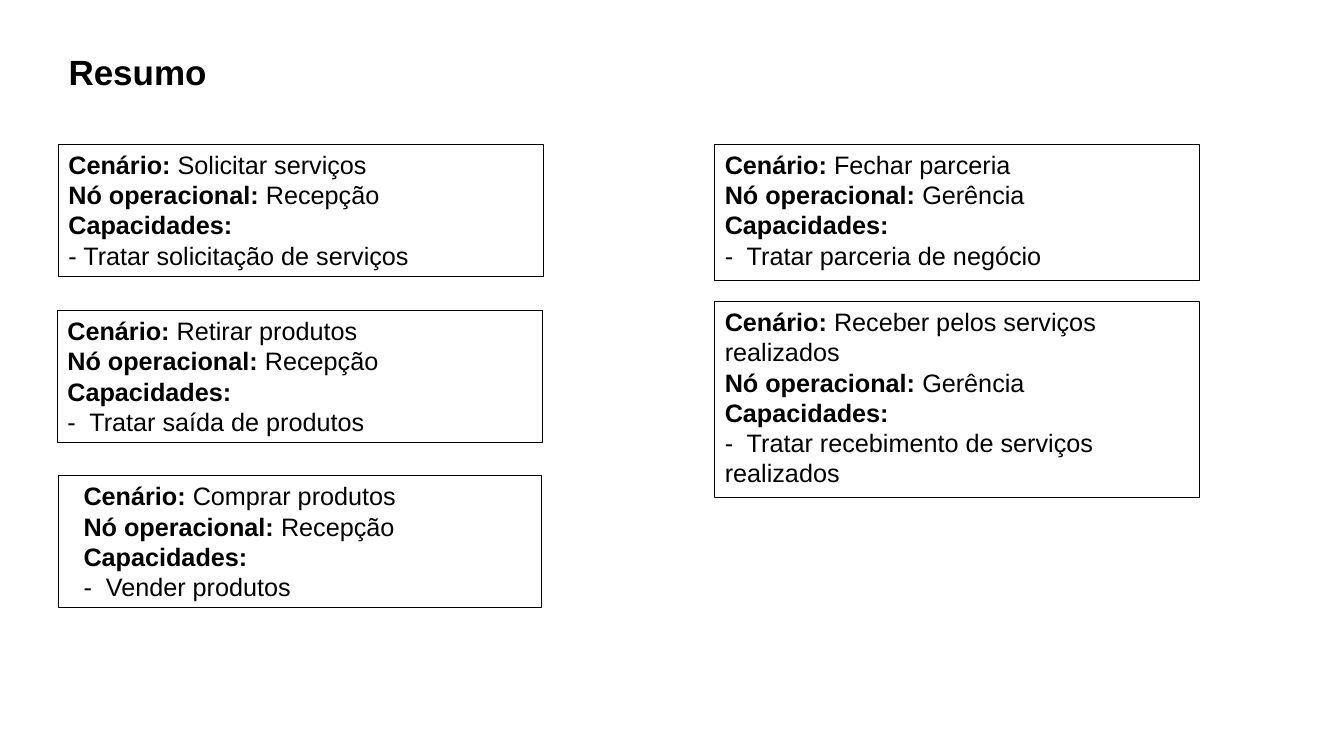
from pptx import Presentation, util as u
from pptx.dml.color import RGBColor
from pptx.enum import shapes, text

BLACK = "000000"


def tint(code):
    return RGBColor.from_string(code)


class Deck:
    font = "Arial"
    size = 18

    def __init__(self):
        self.prs = Presentation()
        self.prs.slide_width = u.Inches(13.33)
        self.prs.slide_height = u.Inches(7.5)
        self.slide = self.prs.slides.add_slide(self.prs.slide_layouts[5])

    def run(self, para, words, bold=False, size=None):
        run = para.add_run()
        run.text = words
        run.font.name = self.font
        run.font.size = u.Pt(size or self.size)
        run.font.bold = bold
        run.font.color.rgb = tint(BLACK)

    def title(self, words, left, top, width, height):
        shape = self.slide.shapes.title
        shape.left, shape.top = u.Inches(left), u.Inches(top)
        shape.width, shape.height = u.Inches(width), u.Inches(height)
        frame = shape.text_frame
        frame.margin_left = frame.margin_right = u.Inches(0.1)
        frame.margin_top = frame.margin_bottom = u.Inches(0.1)
        frame.vertical_anchor = text.MSO_ANCHOR.TOP
        frame.auto_size = text.MSO_AUTO_SIZE.NONE
        frame.word_wrap = True
        para = frame.paragraphs[0]
        para.alignment = text.PP_ALIGN.LEFT
        self.run(para, words, True, 25)

    def card(self, place, scene, node, skill, indent=0):
        """Add a framed summary of one scenario."""
        shape = self.slide.shapes.add_shape(
            shapes.MSO_SHAPE.RECTANGLE, *map(u.Inches, place))
        shape.shadow.inherit = False
        shape.fill.background()
        shape.line.color.rgb = tint(BLACK)
        shape.line.width = u.Pt(0.75)
        frame = shape.text_frame
        frame.word_wrap = True
        frame.auto_size = text.MSO_AUTO_SIZE.SHAPE_TO_FIT_TEXT
        frame.vertical_anchor = text.MSO_ANCHOR.TOP
        rows = [("Cenário: ", scene), ("Nó operacional: ", node),
                ("Capacidades:", ""), ("", skill)]
        for i, (label, value) in enumerate(rows):
            para = frame.add_paragraph() if i else frame.paragraphs[0]
            para.alignment = text.PP_ALIGN.LEFT
            if indent:
                props = para._p.get_or_add_pPr()
                props.set("marL", str(u.Inches(indent)))
                props.set("indent", "0")
            if label:
                self.run(para, label, True)
            if value:
                self.run(para, value)


def main():
    deck = Deck()
    deck.title("Resumo", 0.58, 0.4, 2.55, 0.61)
    desk, boss = "Recepção", "Gerência"
    deck.card((0.58, 1.43, 4.81, 1.31), "Solicitar serviços", desk,
              "- Tratar solicitação de serviços")
    deck.card((0.57, 3.08, 4.81, 1.31), "Retirar produtos", desk,
              "-  Tratar saída de produtos")
    deck.card((0.58, 4.72, 4.79, 1.31), "Comprar produtos", desk,
              "-  Vender produtos", indent=0.15)
    deck.card((7.09, 1.43, 4.81, 1.35), "Fechar parceria", boss,
              "-  Tratar parceria de negócio")
    deck.card((7.09, 2.99, 4.81, 1.95), "Receber pelos serviços realizados",
              boss, "-  Tratar recebimento de serviços realizados")
    deck.prs.save("out.pptx")


if __name__ == "__main__":
    main()
